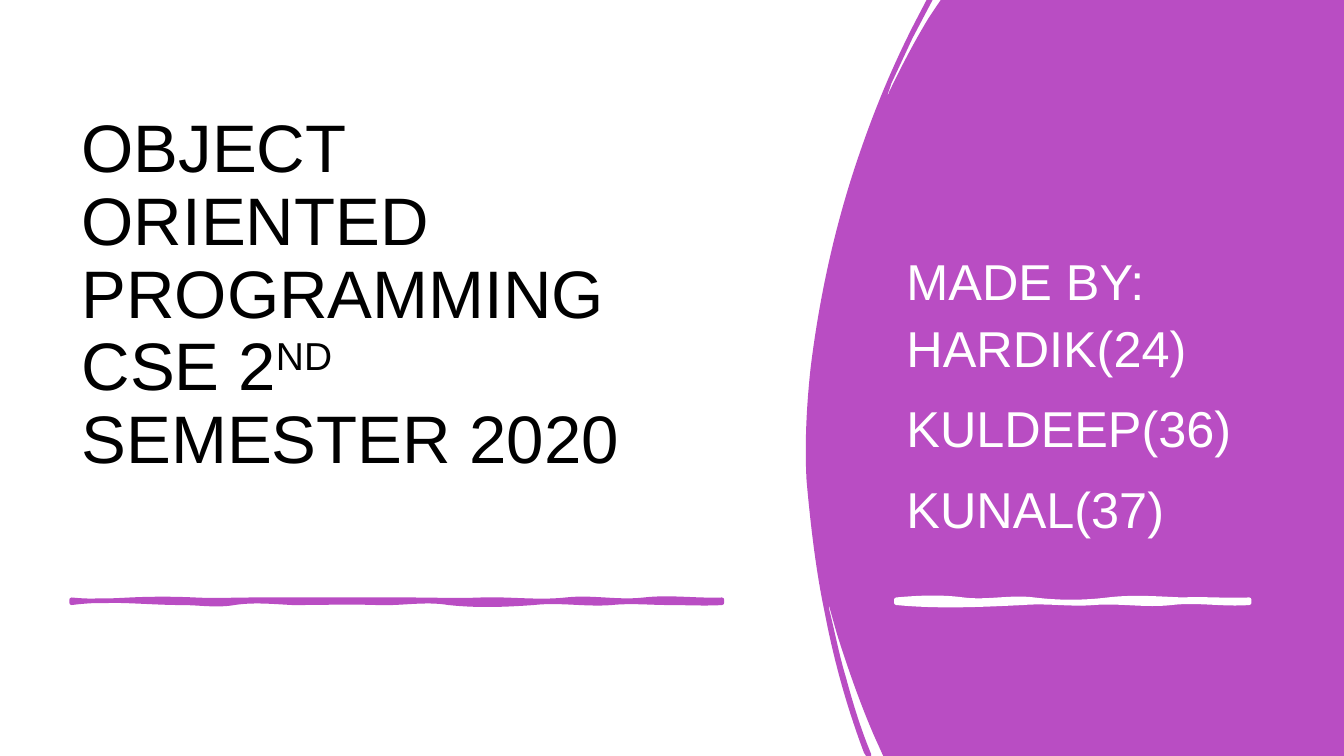
from lxml import etree
from pptx import Presentation, util as u
from pptx.dml.color import RGBColor
from pptx.enum import shapes, text
from pptx.oxml import ns

W, H = 13.33, 7.5
PURPLE, WHITE, BLACK = "B94DC3", "FFFFFF", "000000"
FONT = "Arial"
TITLE_BOX = (0.71, 1.42, 6.45, 4.16)
AUTHORS_BOX = (8.89, 1.23, 3.53, 4.16)
RULE_TOP, RULE_DEPTH = 5.95, 0.03

# Panel outline in inches from the slide corner: pairs are lines, sixes are curves
PANEL = [
    (9.19, 0), (9.25, 0), (9.05, 0.38),
    (8.98, 0.53, 8.91, 0.68, 8.84, 0.83), (8.83, 0.87, 8.81, 0.91, 8.8, 0.95),
    (8.81, 0.94, 8.82, 0.92, 8.82, 0.91), (8.94, 0.66, 9.07, 0.41, 9.21, 0.18),
    (9.33, 0), (W, 0), (W, H), (8.76, H), (8.67, 7.3),
    (8.54, 7, 8.43, 6.69, 8.33, 6.38), (8.29, 6.26, 8.26, 6.14, 8.22, 6),
    (8.22, 6.01, 8.22, 6.02, 8.22, 6.03), (8.28, 6.26, 8.32, 6.49, 8.39, 6.72),
    (8.46, 6.98, 8.54, 7.24, 8.64, 7.48), (8.64, H), (8.59, H), (8.57, 7.47),
    (8.4, 7.02, 8.27, 6.55, 8.18, 6.08), (8.09, 5.65, 8.04, 5.21, 8, 4.77),
    (7.98, 4.4, 8, 4.02, 8.04, 3.65), (8.13, 2.92, 8.29, 2.2, 8.53, 1.51),
    (8.68, 1.07, 8.86, 0.64, 9.07, 0.23),
]

# Brush edges: share of the length reached, then the two control offsets
LONG_TOP = [
    (0.09, 0.02, 0.01), (0.19, -0.01, -0.01), (0.28, 0.01, 0), (0.4, 0, 0),
    (0.52, 0, 0), (0.63, 0, 0.01), (0.76, -0.01, 0.03), (0.88, -0.03, 0.03),
    (1, -0.03, 0.01),
]
LONG_BOTTOM = [
    (0.92, 0.01, 0), (0.83, 0, -0.02), (0.71, 0.02, -0.03), (0.58, 0.02, 0.03),
    (0.47, -0.04, 0.01), (0.34, -0.01, 0), (0.25, -0.01, -0.03),
    (0.17, 0.03, 0), (0, 0, -0.05),
]
SHORT_TOP = [
    (0.19, -0.02, -0.03), (0.39, 0.03, -0.03), (0.6, 0.03, 0.03),
    (0.81, -0.03, -0.01), (1, -0.01, 0.01),
]
SHORT_BOTTOM = [
    (0.78, 0.02, -0.03), (0.56, 0.03, -0.02), (0.36, 0.02, -0.02), (0, 0.02, 0.04),
]


def rgb(value):
    return RGBColor.from_string(value)


def paint(sp, color, line=None):
    sp.shadow.inherit = False
    sp.fill.solid()
    sp.fill.fore_color.rgb = rgb(color)
    if line:
        sp.line.color.rgb = rgb(color)
        sp.line.width = u.Pt(line)
    else:
        sp.line.fill.background()


def outline(s, steps, color, line=None):
    """Build a closed outline whose six-number steps become cubic curves."""
    points = [(u.Inches(step[i]), u.Inches(step[i + 1]))
              for step in steps for i in range(0, len(step), 2)]
    builder = s.shapes.build_freeform(*points[0], scale=1.0)
    builder.add_line_segments(points[1:], close=True)
    sp = builder.convert_to_shape()
    # Join each run of three segments that belongs to a curve
    segments = iter(list(sp._element.iter(ns.qn("a:lnTo"))))
    for step in steps[1:]:
        segment = next(segments)
        if len(step) == 6:
            curve = etree.Element(ns.qn("a:cubicBezTo"))
            segment.addprevious(curve)
            for part in (segment, next(segments), next(segments)):
                curve.append(part[0])
                part.getparent().remove(part)
    paint(sp, color, line)


def brush_rule(s, left, top, length, top_edge, bottom_edge, color):
    steps, at = [(left, top)], 0
    for y, edge in ((top, top_edge), (top + RULE_DEPTH, bottom_edge)):
        if y > top:
            steps.append((left + length, y))
        for end, bend1, bend2 in edge:
            x1, x2, x3 = (left + length * (at + (end - at) * k / 3) for k in (1, 2, 3))
            steps.append((x1, y + bend1, x2, y + bend2, x3, y))
            at = end
    outline(s, steps, color, 3.25)


def text_block(s, sp, box, paragraphs, size, color, spacing, before, right, bottom):
    """Place a placeholder in front; runs are (text, baseline) and None breaks a line."""
    s.shapes._spTree.append(sp._element)
    sp.left, sp.top, sp.width, sp.height = (u.Inches(v) for v in box)
    tf = sp.text_frame
    tf.word_wrap = True
    tf.auto_size = text.MSO_AUTO_SIZE.NONE
    tf.vertical_anchor = text.MSO_ANCHOR.BOTTOM
    tf.margin_left = u.Inches(0.1)
    tf.margin_right, tf.margin_bottom = u.Inches(right), u.Inches(bottom)
    for i, runs in enumerate(paragraphs):
        p = tf.add_paragraph() if i else tf.paragraphs[0]
        p.alignment = text.PP_ALIGN.LEFT
        p.line_spacing, p.space_before = spacing, u.Pt(before)
        for run in runs:
            if run is None:
                p.add_line_break()
                continue
            r = p.add_run()
            r.text = run[0]
            r.font.name, r.font.size = FONT, u.Pt(size)
            r.font.color.rgb = rgb(color)
            if run[1]:
                r._r.get_or_add_rPr().set("baseline", str(run[1] * 1000))


def title_region(s, box):
    runs = [("OBJECT ORIENTED PROGRAMMING", 0), None,
            ("CSE 2", 0), ("ND", 30), (" SEMESTER 2020", 0)]
    text_block(s, s.shapes.title, box, [runs], 48, BLACK, 0.9, 0, 0.3, 0.84)
    brush_rule(s, box[0], RULE_TOP, box[2], LONG_TOP, LONG_BOTTOM, PURPLE)


def authors_region(s, box):
    outline(s, PANEL, PURPLE)
    names = ["MADE BY: HARDIK(24)", "KULDEEP(36)", "KUNAL(37)"]
    text_block(s, s.placeholders[1], box, [[(name, 0)] for name in names],
               36, WHITE, 1.1, 10, 0.1, 0.05)
    brush_rule(s, box[0], RULE_TOP, 3.5, SHORT_TOP, SHORT_BOTTOM, WHITE)


def main():
    prs = Presentation()
    prs.slide_width, prs.slide_height = u.Inches(W), u.Inches(H)
    s = prs.slides.add_slide(prs.slide_layouts[0])
    # Backdrop
    backdrop = s.shapes.add_shape(shapes.MSO_SHAPE.RECTANGLE, 0, 0,
                                  prs.slide_width, prs.slide_height)
    paint(backdrop, WHITE)
    # Regions
    title_region(s, TITLE_BOX)
    authors_region(s, AUTHORS_BOX)
    prs.save("out.pptx")


if __name__ == "__main__":
    main()
